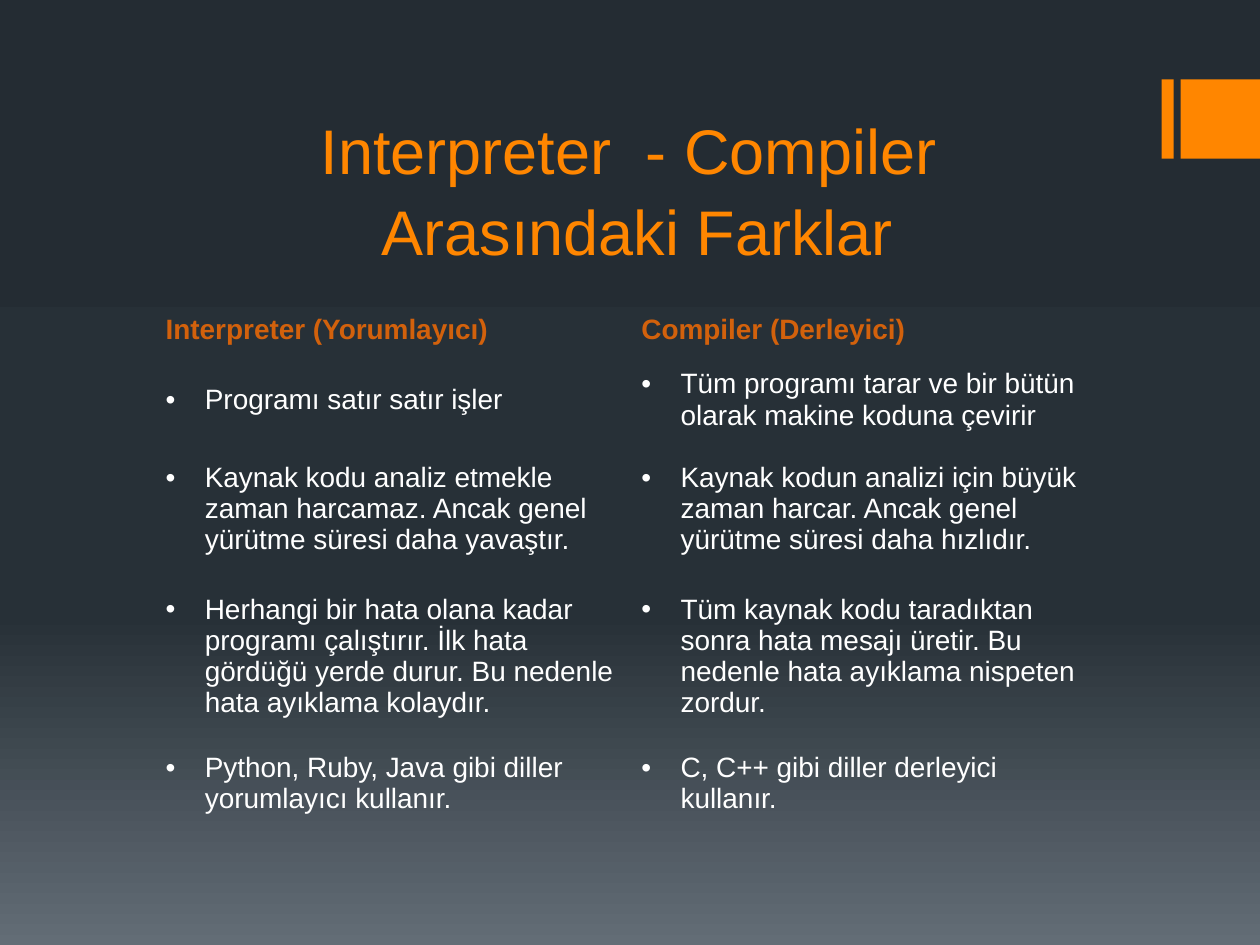
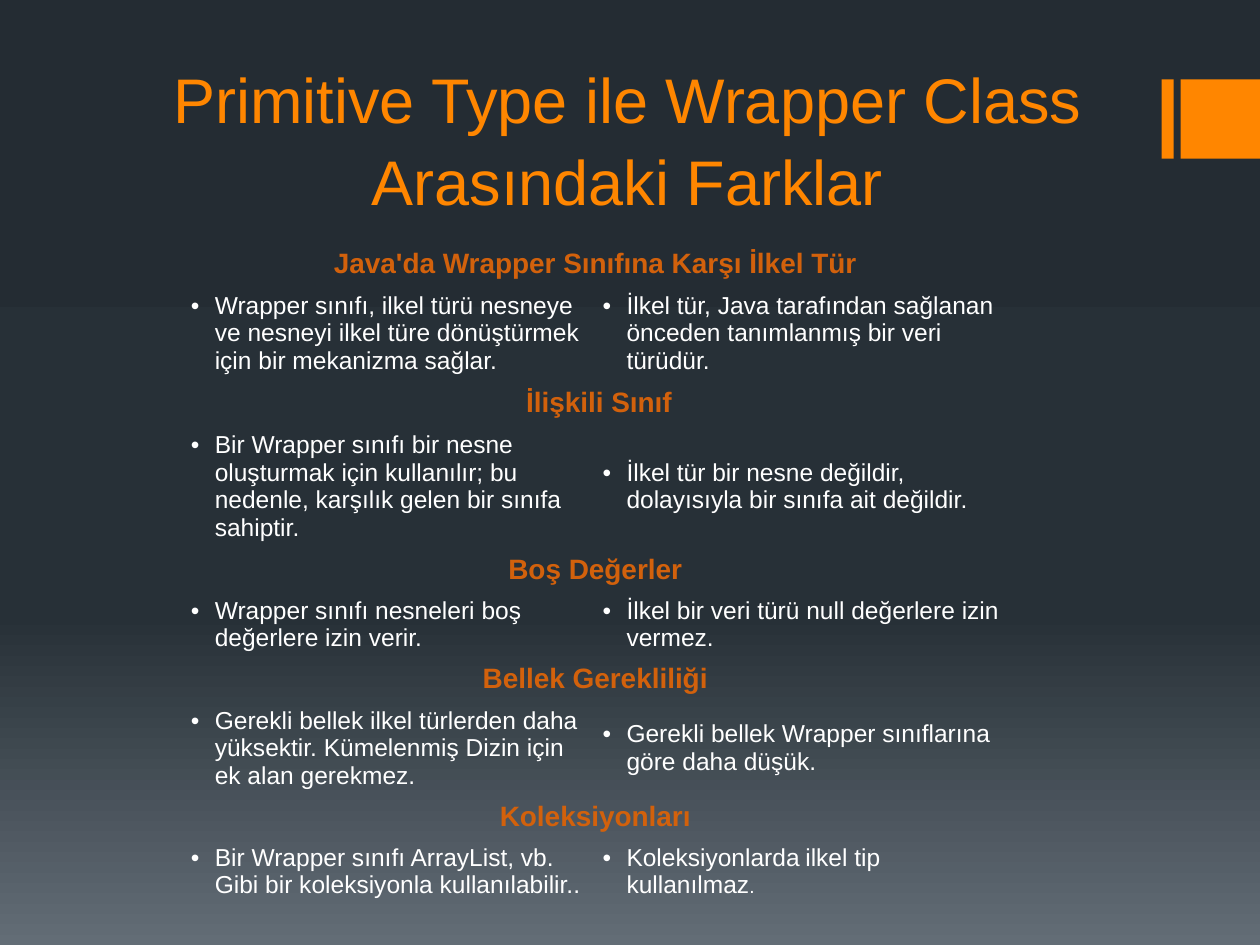
from lxml import etree
from pptx import Presentation
from pptx import util as u
from pptx.dml import color
from pptx.enum import shapes, text
from pptx.oxml import ns

Cm = u.Cm
COLORS = {
    "accent": "FF8600",
    "heading": "D2610C",
    "body": "FFFFFF",
    "top": "242C33",
    "middle": "273037",
    "bottom": "636D76",
}
FONT = "Arial"
GRADIENT = [(0, "top"), (65, "middle"), (100, "bottom")]
NO_STYLE_NO_GRID = "{2D5ABB26-0587-4C30-8999-92F81FD0307C}"
HEADING = {"size": 16, "bold": True, "color": "heading"}

# Comparison of interpreter and compiler: row height in cm, cell texts
TRANSLATORS = [
    (1.04, ["Interpreter (Yorumlayıcı)", "Compiler (Derleyici)"]),
    (1.8, ["Programı satır satır işler",
           "Tüm programı tarar ve bir bütün olarak makine koduna çevirir"]),
    (2.59, ["Kaynak kodu analiz etmekle zaman harcamaz. Ancak genel yürütme "
            "süresi daha yavaştır.",
            "Kaynak kodun analizi için büyük zaman harcar. Ancak genel "
            "yürütme süresi daha hızlıdır."]),
    (3.35, ["Herhangi bir hata olana kadar programı çalıştırır. İlk hata "
            "gördüğü yerde durur. Bu nedenle hata ayıklama kolaydır.",
            "Tüm kaynak kodu taradıktan sonra hata mesajı üretir. Bu nedenle "
            "hata ayıklama nispeten zordur."]),
    (1.8, ["Python, Ruby, Java gibi diller yorumlayıcı kullanır.",
           "C, C++ gibi diller derleyici kullanır."]),
]

# Comparison of wrapper and primitive: a single text spans both columns,
# a list of (text, size) pairs mixes sizes in one cell
TYPES = [
    (0.79, ["Java'da Wrapper Sınıfına Karşı İlkel Tür"]),
    (2, ["Wrapper sınıfı, ilkel türü nesneye ve nesneyi ilkel türe "
         "dönüştürmek için bir mekanizma sağlar.",
         "İlkel tür, Java tarafından sağlanan önceden tanımlanmış bir veri "
         "türüdür."]),
    (0.79, ["\u00a0İlişkili Sınıf"]),
    (2.59, ["Bir Wrapper sınıfı bir nesne oluşturmak için kullanılır; bu "
            "nedenle, karşılık gelen bir sınıfa sahiptir.",
            "İlkel tür bir nesne değildir, dolayısıyla bir sınıfa ait "
            "değildir."]),
    (0.79, ["Boş Değerler"]),
    (1.4, ["Wrapper sınıfı nesneleri boş değerlere izin verir.",
           "İlkel bir veri türü null değerlere izin vermez."]),
    (0.79, ["\u00a0Bellek Gerekliliği\u00a0"]),
    (2, ["Gerekli bellek ilkel türlerden daha yüksektir. Kümelenmiş Dizin "
         "için ek alan gerekmez.",
         "Gerekli bellek Wrapper sınıflarına göre daha düşük."]),
    (0.79, ["Koleksiyonları"]),
    (1.4, ["Bir Wrapper sınıfı ArrayList, vb. Gibi bir koleksiyonla "
           "kullanılabilir..",
           [("Koleksiyonlarda", 14), (" ", 11),
            ("ilkel tip kullanılmaz", 14), (".", 11)]]),
]


def rgb(name):
    return color.RGBColor.from_string(COLORS[name])


def set_attributes(target, values):
    for name, value in values.items():
        setattr(target, name, value)


def format_font(font, size, bold, color_name):
    set_attributes(font, {"name": FONT, "size": u.Pt(size), "bold": bold})
    font.color.rgb = rgb(color_name)


def set_background(master):
    fill = master.background.fill
    fill.gradient()
    fill.gradient_angle = 270
    stops = master.element.find(".//" + ns.qn("a:gsLst"))
    for stop in list(stops):
        stops.remove(stop)
    for percent, name in GRADIENT:
        stop = etree.SubElement(stops, ns.qn("a:gs"), pos=str(percent * 1000))
        etree.SubElement(stop, ns.qn("a:srgbClr"), val=COLORS[name])


def add_corner_bars(slide):
    for left, width in ((23.42, 0.24), (23.8, 1.6)):
        bar = slide.shapes.add_shape(shapes.MSO_SHAPE.RECTANGLE, Cm(left),
                                     Cm(1.6), Cm(width), Cm(1.6))
        bar.shadow.inherit = False
        bar.fill.solid()
        bar.fill.fore_color.rgb = rgb("accent")
        bar.line.fill.background()


def add_slide(presentation, title_text, left, top):
    slide = presentation.slides.add_slide(presentation.slide_layouts[5])
    add_corner_bars(slide)
    title = slide.shapes.title
    set_attributes(title, {"left": Cm(left), "top": Cm(top),
                           "width": Cm(20.32), "height": Cm(3.2)})
    frame = title.text_frame
    frame.text = title_text
    set_attributes(frame, {"word_wrap": True,
                           "auto_size": text.MSO_AUTO_SIZE.NONE,
                           "vertical_anchor": text.MSO_ANCHOR.BOTTOM})
    paragraph = frame.paragraphs[0]
    set_attributes(paragraph, {"alignment": text.PP_ALIGN.CENTER,
                               "line_spacing": 1.08})
    for run in paragraph.runs:
        format_font(run.font, 36, False, "accent")
    return slide


def add_bullet(paragraph, indent):
    properties = paragraph._p.get_or_add_pPr()
    properties.set("marL", str(Cm(indent)))
    properties.set("indent", str(-Cm(indent)))
    etree.SubElement(properties, ns.qn("a:buFont"), typeface=FONT)
    etree.SubElement(properties, ns.qn("a:buChar"), char="•")


def fill_cell(cell, content, style, margins):
    horizontal, vertical = (Cm(margin) for margin in margins)
    set_attributes(cell, {"margin_left": horizontal,
                          "margin_right": horizontal,
                          "margin_top": vertical, "margin_bottom": vertical,
                          "vertical_anchor": text.MSO_ANCHOR.MIDDLE})
    paragraph = cell.text_frame.paragraphs[0]
    if isinstance(content, str):
        content = [(content, style["size"])]
    for run_text, size in content:
        run = paragraph.add_run()
        run.text = run_text
        format_font(run.font, size, style["bold"], style["color"])
    return paragraph


def add_comparison(slide, rows, left, top, column_width, body_size, indent,
                   margins):
    height = sum(row_height for row_height, _ in rows)
    frame = slide.shapes.add_table(len(rows), 2, Cm(left), Cm(top),
                                   Cm(2 * column_width), Cm(height))
    table = frame.table
    set_attributes(table, {"first_row": False, "horz_banding": False})
    table._tbl.tblPr.find(ns.qn("a:tableStyleId")).text = NO_STYLE_NO_GRID
    for column in table.columns:
        column.width = Cm(column_width)
    body = {"size": body_size, "bold": False, "color": "body"}
    has_spans = any(len(texts) == 1 for _, texts in rows)

    for index, (row_height, texts) in enumerate(rows):
        table.rows[index].height = Cm(row_height)
        spans = len(texts) == 1
        is_heading = spans or (index == 0 and not has_spans)
        if spans:
            table.cell(index, 0).merge(table.cell(index, 1))
        for cell in table.rows[index].cells:
            cell.fill.background()
        for column, content in enumerate(texts):
            paragraph = fill_cell(table.cell(index, column), content,
                                  HEADING if is_heading else body, margins)
            if spans:
                paragraph.alignment = text.PP_ALIGN.CENTER
            if not is_heading:
                add_bullet(paragraph, indent)


def main():
    presentation = Presentation()
    set_attributes(presentation, {"slide_width": Cm(25.4),
                                  "slide_height": Cm(19.05)})
    set_background(presentation.slide_master)

    # Interpreter and compiler
    slide = add_slide(presentation,
                      "Interpreter  - Compiler \vArasındaki Farklar",
                      2.69, 2.34)
    add_comparison(slide, TRANSLATORS, left=3.1, top=6.12, column_width=9.59,
                   body_size=16, indent=0.79, margins=(0.24, 0.12))

    # Primitive type and wrapper class
    slide = add_slide(presentation,
                      "Primitive Type ile Wrapper Class Arasındaki Farklar",
                      2.49, 1.32)
    add_comparison(slide, TYPES, left=3.7, top=4.93, column_width=8.3,
                   body_size=14, indent=0.48, margins=(0.15, 0.08))

    presentation.save("out.pptx")


main()
